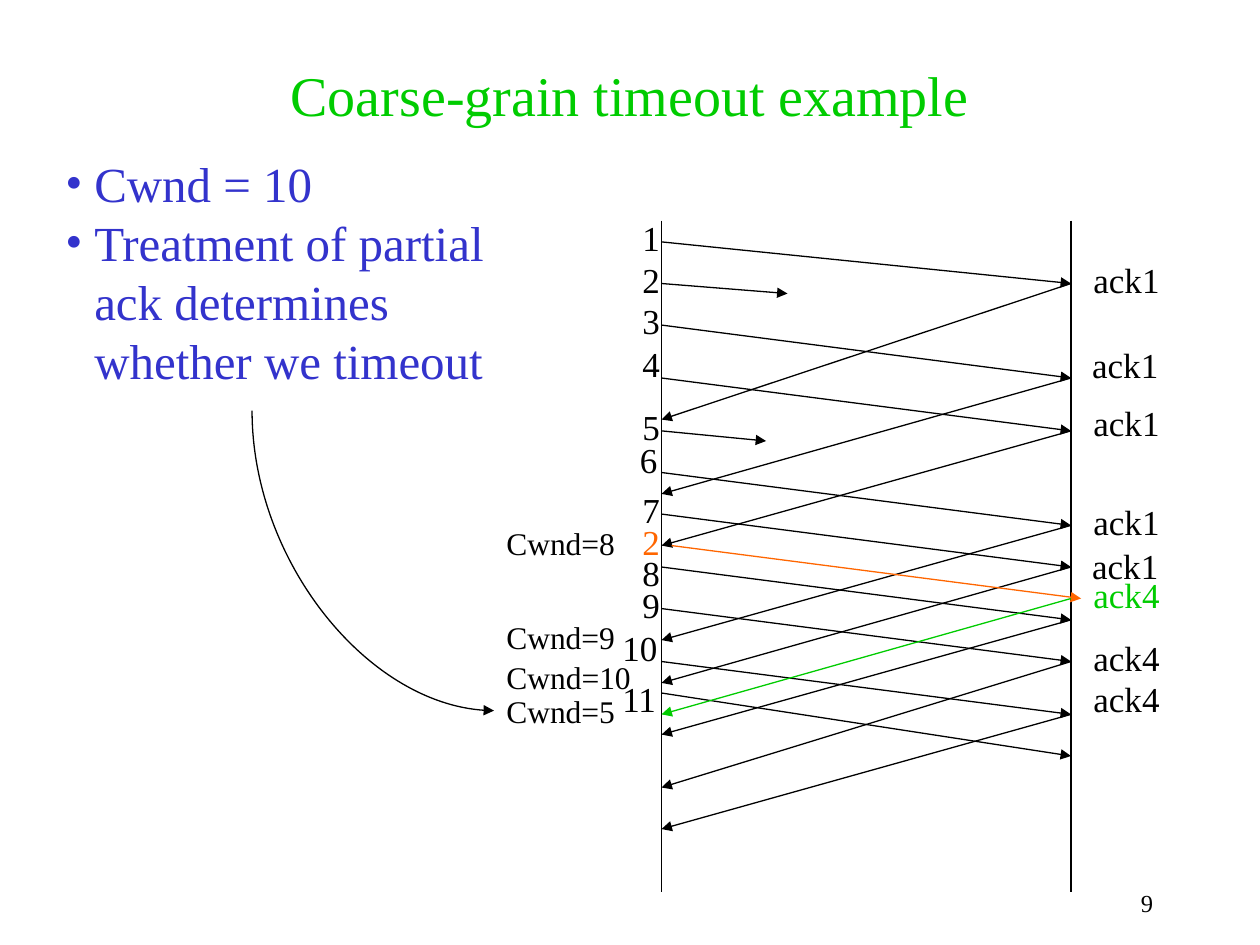
from dataclasses import dataclass

from lxml import etree
from pptx import Presentation
from pptx.dml.color import RGBColor
from pptx.enum.shapes import MSO_CONNECTOR as CONN
from pptx.enum.text import MSO_ANCHOR as ANCHOR, PP_ALIGN as ALIGN
from pptx.oxml.ns import qn
from pptx.util import Inches, Pt


@dataclass(frozen=True)
class Theme:
    font: str = "Times New Roman"
    black: str = "000000"
    green: str = "00CC00"
    orange: str = "FF6600"
    blue: str = "3333CC"
    title: int = 32
    body: int = 28
    label: int = 20
    window: int = 18
    number: int = 14
    line: float = 0.75


T = Theme()


def add_run(p, text, size, color):
    r = p.add_run()
    r.text = text
    r.font.name, r.font.size = T.font, Pt(size)
    r.font.color.rgb = RGBColor.from_string(color)


def add_text(slide, box, text, size, color=T.black, align=ALIGN.LEFT, wrap=False):
    sp = slide.shapes.add_textbox(*map(Inches, box))
    tf = sp.text_frame
    tf.word_wrap = wrap
    p = tf.paragraphs[0]
    p.alignment = align
    add_run(p, text, size, color)


def add_line(slide, start, end, color=T.black, arrow=True, kind=CONN.STRAIGHT):
    sp = slide.shapes.add_connector(kind, *map(Inches, (*start, *end)))
    sp.line.color.rgb = RGBColor.from_string(color)
    sp.line.width = Pt(T.line)
    if arrow:
        etree.SubElement(sp.line._get_or_add_ln(), qn("a:tailEnd"), type="triangle")
    etree.SubElement(sp._element.spPr, qn("a:effectLst"))
    return sp


def add_title(slide, box, text):
    sp = slide.shapes.title
    sp.left, sp.top, sp.width, sp.height = map(Inches, box)
    tf = sp.text_frame
    tf.vertical_anchor = ANCHOR.MIDDLE
    p = tf.paragraphs[0]
    p.alignment = ALIGN.CENTER
    add_run(p, text, T.title, T.green)


def add_bullets(slide, box, items):
    tf = slide.shapes.add_textbox(*map(Inches, box)).text_frame
    tf.word_wrap = True
    for i, text in enumerate(items):
        p = tf.paragraphs[0] if i == 0 else tf.add_paragraph()
        pPr = p._p.get_or_add_pPr()
        pPr.set("marL", str(Inches(0.23)))
        pPr.set("indent", str(-Inches(0.23)))
        clr = etree.SubElement(pPr, qn("a:buClr"))
        etree.SubElement(clr, qn("a:srgbClr"), val=T.blue)
        etree.SubElement(pPr, qn("a:buFont"), typeface=T.font)
        etree.SubElement(pPr, qn("a:buChar"), char="•")
        add_run(p, text, T.body, T.blue)


# Times below are inches down from the top of the two time lines.
# Packets: sent, received
PACKETS = [(0.17, 0.5), (0.83, 1.25), (1.25, 1.67), (2, 2.42), (2.33, 2.75),
           (2.75, 3.17), (3.08, 3.5), (3.5, 3.92), (3.75, 4.25)]
# Lost packets: sent, lost, distance covered
LOST = [(0.5, 0.58, 1), (1.67, 1.75, 0.83)]
# Acks: sent, received
ACKS = [(0.5, 1.58), (1.25, 2.17), (1.67, 2.58), (2.42, 3.33), (2.75, 3.67),
        (3.17, 4.08), (3.5, 4.5), (3.92, 4.83)]
RESENT, PARTIAL_ACK = (2.58, 3), (3, 3.92)
# Labels: text, left relative to their time line, top
SEQ_LABELS = [("1", -0.25, -0.08), ("2", -0.25, 0.25), ("3", -0.25, 0.58),
              ("4", -0.25, 0.92), ("5", -0.25, 1.42), ("6", -0.27, 1.68),
              ("7", -0.25, 2.08), ("8", -0.25, 2.58), ("9", -0.25, 2.83),
              ("10", -0.41, 3.17), ("11", -0.41, 3.58)]
ACK_LABELS = [("ack1", 0.08, 0.25), ("ack1", 0.07, 0.93), ("ack1", 0.08, 1.39),
              ("ack1", 0.08, 2.17), ("ack1", 0.07, 2.52), ("ack4", 0.08, 3.25),
              ("ack4", 0.08, 3.58)]
WINDOWS = [("Cwnd=8", 2.36), ("Cwnd=9", 3.11), ("Cwnd=10", 3.42), ("Cwnd=5", 3.69)]


def add_exchange(slide, box):
    left, top, width, height = box
    right = left + width

    # Time lines of sender and receiver
    for x in (left, right):
        add_line(slide, (x, top), (x, top + height), arrow=False)

    # Packets and acks
    for sent, got in PACKETS:
        add_line(slide, (left, top + sent), (right, top + got))
    for sent, lost, reach in LOST:
        add_line(slide, (left, top + sent), (left + reach, top + lost))
    for sent, got in ACKS:
        add_line(slide, (right, top + sent), (left, top + got))

    # Retransmission and the partial ack it brings
    sent, got = RESENT
    add_line(slide, (left + 0.08, top + sent), (right + 0.08, top + got), T.orange)
    sent, got = PARTIAL_ACK
    add_line(slide, (right, top + sent), (left, top + got), T.green)

    # Labels beside the time lines
    seqs = [(*s, T.black) for s in SEQ_LABELS] + [("2", -0.25, 2.33, T.orange)]
    for text, dx, dy, color in seqs:
        w = 0.2 + 0.14 * len(text)
        add_text(slide, (left + dx, top + dy, w, 0.44), text, T.label, color)
    acks = [(*a, T.black) for a in ACK_LABELS] + [("ack4", 0.08, 2.75, T.green)]
    for text, dx, dy, color in acks:
        add_text(slide, (right + dx, top + dy, 0.74, 0.44), text, T.label, color)

    # Congestion window sizes
    for text, dy in WINDOWS:
        w = 1.19 if text == "Cwnd=10" else 1.06
        add_text(slide, (left - 1.33, top + dy, w, 0.4), text, T.window)


def add_curve(slide, box):
    """Curve that drops from the top left of the box to its bottom right."""
    left, top, width, height = box
    # The unturned frame has the sides swapped about the same centre
    x, y = left + (width - height) / 2, top + (height - width) / 2
    sp = add_line(slide, (x, y), (x + height, y + width), kind=CONN.CURVE)
    xfrm = sp._element.spPr.find(qn("a:xfrm"))
    xfrm.set("rot", str(270 * 60000))
    xfrm.set("flipH", "1")
    sp._element.spPr.find(qn("a:prstGeom")).set("prst", "curvedConnector2")


def main():
    prs = Presentation()
    prs.slide_width, prs.slide_height = Inches(10), Inches(7.5)
    slide = prs.slides.add_slide(prs.slide_layouts[5])
    add_title(slide, (0.75, 0.33, 8.5, 0.83), "Coarse-grain timeout example")
    add_exchange(slide, (5.25, 1.75, 3.25, 5.33))
    add_bullets(slide, (0.42, 1.17, 4, 1.97), [
        "Cwnd = 10", "Treatment of partial ack determines whether we timeout"])
    add_curve(slide, (2, 3.26, 1.92, 2.38))
    add_text(slide, (7.17, 7, 2.08, 0.33), "9", T.number, align=ALIGN.RIGHT, wrap=True)
    prs.save("out.pptx")


if __name__ == "__main__":
    main()
